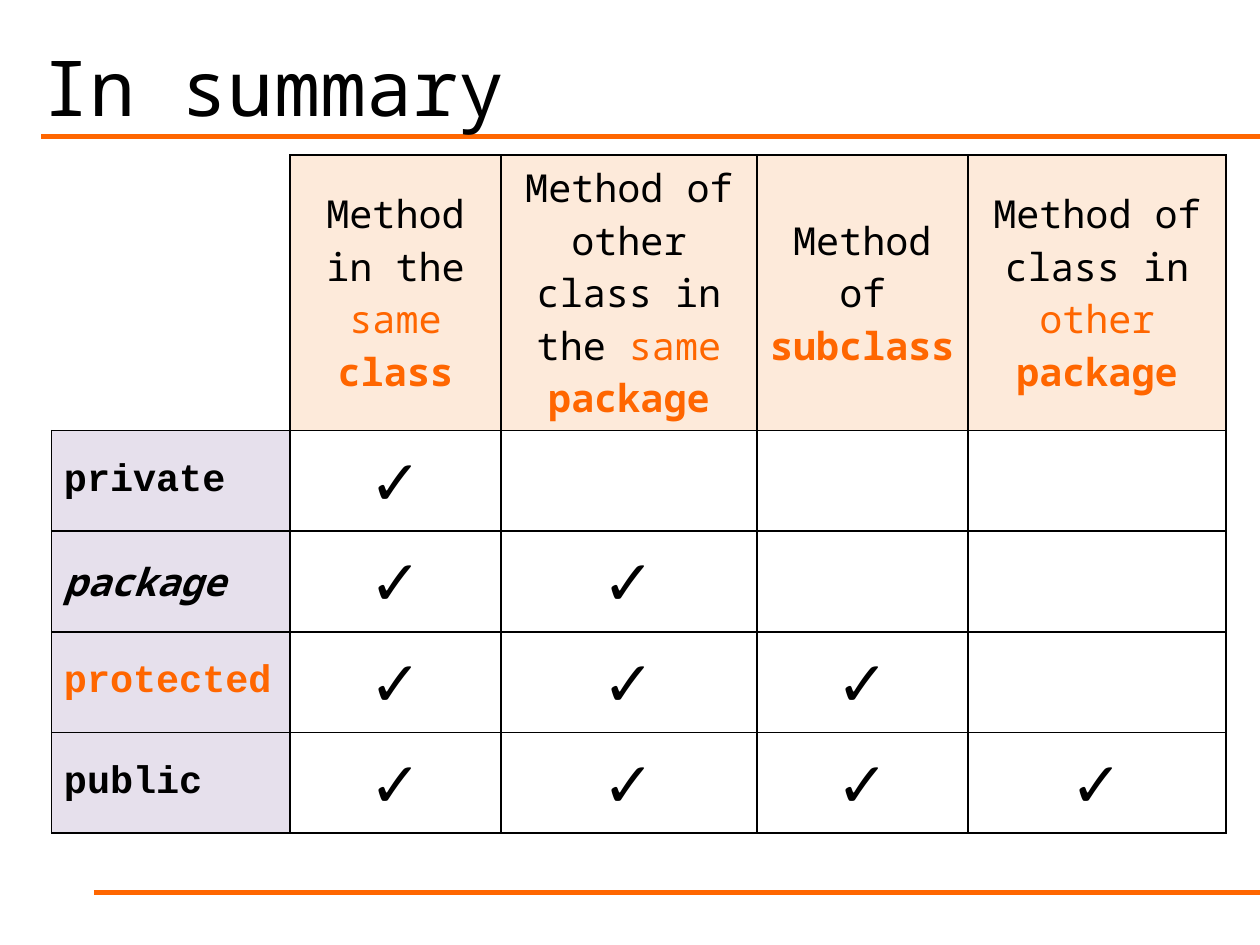
import dataclasses

import pptx
import pptx.dml.color
import pptx.enum.shapes
import pptx.enum.text
import pptx.oxml
import pptx.oxml.ns
import pptx.util

Cm = pptx.util.Cm
Align = pptx.enum.text.PP_ALIGN


@dataclasses.dataclass(frozen=True)
class Theme:
    sans: str = "Noto Sans Mono"
    code: str = "Courier New"
    ink: str = "000000"
    accent: str = "FF6600"
    header_fill: str = "FDEADA"
    label_fill: str = "E6E0EC"
    cell_fill: str = "FFFFFF"
    title_size: int = 44
    text_size: int = 22
    check_size: int = 36
    rule_width: int = 3
    border_width: int = 1


THEME = Theme()

# Header texts: plain words, accented words, bold accented word
HEADERS = [
    ("Method in the ", "same ", "class"),
    ("Method of other class in the ", "same ", "package"),
    ("Method of ", "", "subclass"),
    ("Method of class in ", "other ", "package"),
]
# Each access level is visible to one more kind of method than the one before
LEVELS = [
    ("private", {}),
    ("package", {"font": THEME.sans, "italic": True}),
    ("protected", {"color": THEME.accent}),
    ("public", {}),
]
COLUMN_WIDTHS = [4.81, 4.25, 5.16, 4.25, 5.21]
# The header row holds five lines of text
ROW_HEIGHTS = [5.56] + [2.03] * len(LEVELS)


def rgb(color):
    return pptx.dml.color.RGBColor.from_string(color)


def add_span(para, text, size=THEME.text_size, font=THEME.sans,
             color=THEME.ink, bold=False, italic=False):
    span = para.add_run()
    span.text = text
    span.font.size = pptx.util.Pt(size)
    span.font.name = font
    span.font.color.rgb = rgb(color)
    span.font.bold = bold
    span.font.italic = italic


def set_border(cell, side, visible=True):
    properties = cell._tc.get_or_add_tcPr()
    width = pptx.util.Pt(THEME.border_width)
    paint = (f'<a:solidFill><a:srgbClr val="{THEME.ink}"/></a:solidFill>'
             if visible else "<a:noFill/>")
    properties.append(pptx.oxml.parse_xml(
        f'<a:ln{side} {pptx.oxml.ns.nsdecls("a")} w="{width}">{paint}</a:ln{side}>'))


def style_cell(cell, fill=None):
    # Borders come before the fill in the cell properties
    for side in "LRTB":
        set_border(cell, side, visible=fill is not None or side in "RB")
    if fill:
        cell.fill.solid()
        cell.fill.fore_color.rgb = rgb(fill)
    else:
        cell.fill.background()
    cell.vertical_anchor = pptx.enum.text.MSO_ANCHOR.MIDDLE
    cell.margin_left = cell.margin_right = Cm(0.25)
    cell.margin_top = cell.margin_bottom = Cm(0.13)


def add_rule(page, left, top, width):
    rule = page.shapes.add_connector(
        pptx.enum.shapes.MSO_CONNECTOR.STRAIGHT,
        Cm(left), Cm(top), Cm(left + width), Cm(top))
    rule.line.color.rgb = rgb(THEME.accent)
    rule.line.width = pptx.util.Pt(THEME.rule_width)
    rule._element.spPr.append(pptx.oxml.parse_xml(
        f'<a:effectLst {pptx.oxml.ns.nsdecls("a")}/>'))


def add_title(page, text, left, top, width, height):
    box = page.shapes.add_textbox(Cm(left), Cm(top), Cm(width), Cm(height))
    frame = box.text_frame
    frame.word_wrap = True
    frame.vertical_anchor = pptx.enum.text.MSO_ANCHOR.MIDDLE
    para = frame.paragraphs[0]
    para.line_spacing = 1.03
    add_span(para, text, size=THEME.title_size)


def add_access_table(page, left, top):
    table = page.shapes.add_table(
        len(ROW_HEIGHTS), len(COLUMN_WIDTHS), Cm(left), Cm(top),
        Cm(sum(COLUMN_WIDTHS)), Cm(sum(ROW_HEIGHTS))).table
    table.first_row = table.horz_banding = False
    for column, width in zip(table.columns, COLUMN_WIDTHS):
        column.width = Cm(width)
    for row, height in zip(table.rows, ROW_HEIGHTS):
        row.height = Cm(height)

    # Header row, with an open corner
    style_cell(table.cell(0, 0))
    for index, (plain, accented, strong) in enumerate(HEADERS, 1):
        cell = table.cell(0, index)
        style_cell(cell, THEME.header_fill)
        para = cell.text_frame.paragraphs[0]
        para.alignment = Align.CENTER
        add_span(para, plain)
        if accented:
            add_span(para, accented, color=THEME.accent)
        add_span(para, strong, color=THEME.accent, bold=True)

    # One row for each access level
    for level, (name, look) in enumerate(LEVELS, 1):
        label = table.cell(level, 0)
        style_cell(label, THEME.label_fill)
        add_span(label.text_frame.paragraphs[0], name,
                 **{"font": THEME.code, "bold": True, **look})
        for index in range(1, len(COLUMN_WIDTHS)):
            cell = table.cell(level, index)
            style_cell(cell, THEME.cell_fill)
            if index <= level:
                para = cell.text_frame.paragraphs[0]
                para.alignment = Align.CENTER
                add_span(para, "✓", size=THEME.check_size)


def main():
    deck = pptx.Presentation()
    deck.slide_width, deck.slide_height = Cm(25.4), Cm(19.05)
    page = deck.slides.add_slide(deck.slide_layouts[6])
    add_rule(page, left=0.83, top=2.75, width=24.57)
    add_rule(page, left=1.89, top=17.99, width=23.51)
    add_title(page, "In summary", left=0.62, top=0.43, width=23.93, height=2.54)
    add_access_table(page, left=1.04, top=3.12)
    deck.save("out.pptx")


if __name__ == "__main__":
    main()
